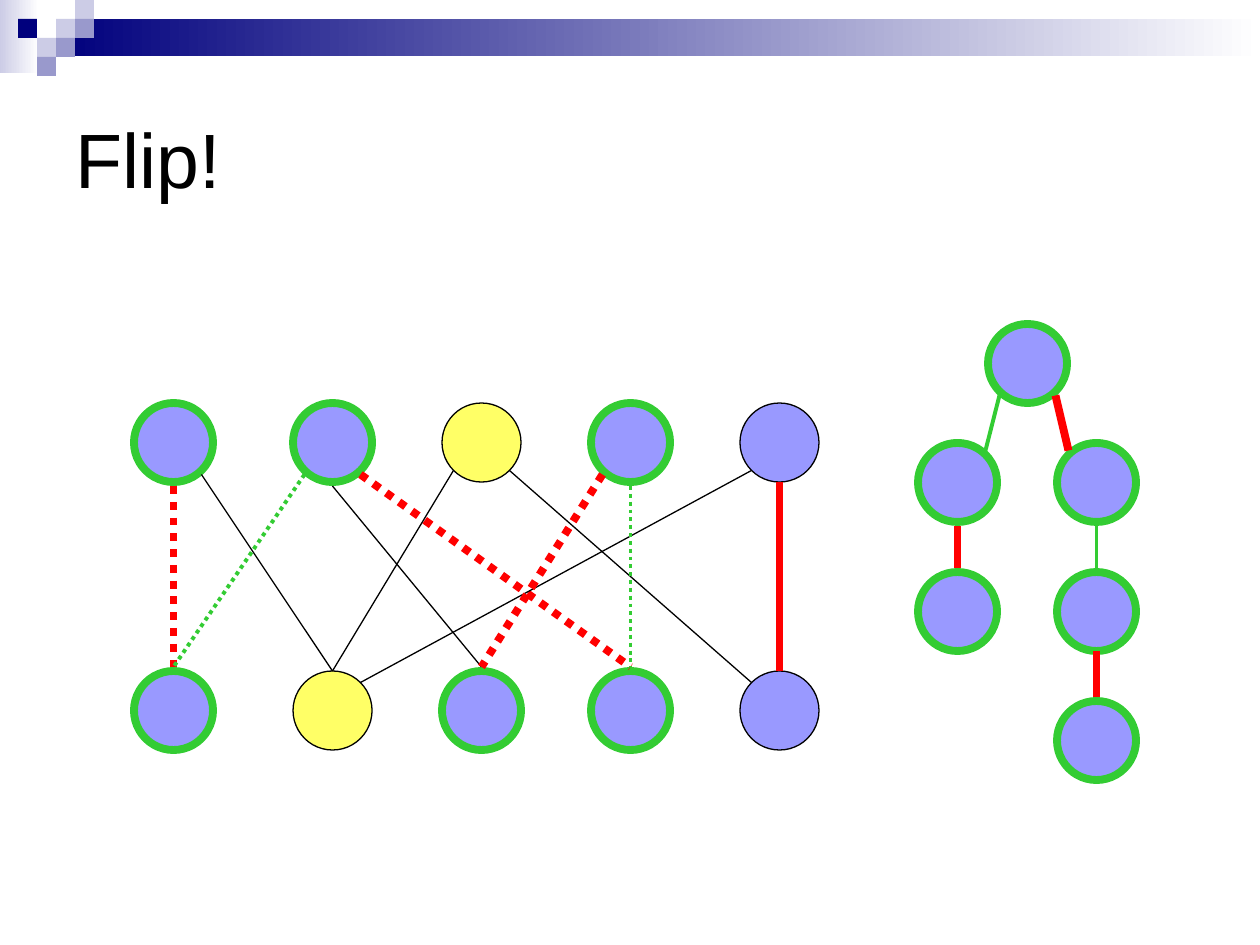
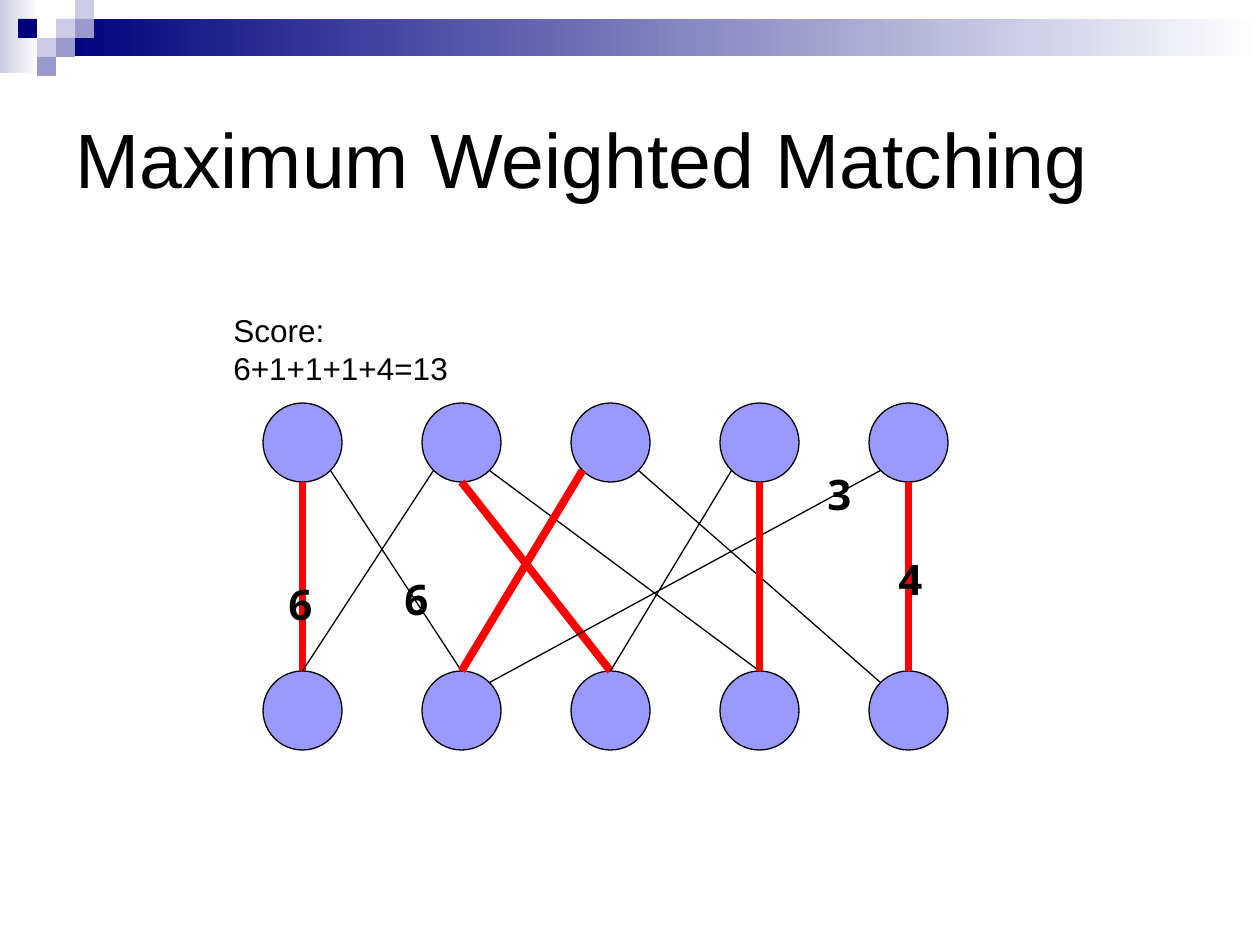
from pptx import Presentation
from pptx import util as u
from pptx.dml.color import RGBColor
from pptx.enum import dml, shapes, text
from pptx.oxml.ns import qn
from lxml import etree

SCALE = 914400 / 126  # EMU in one px
COLORS = {
    "navy": "00007D", "lavender": "CCCCE6", "slate": "9999CC", "white": "FFFFFF",
    "black": "000000", "violet": "9999FF", "yellow": "FFFF66",
    "green": "33CC33", "red": "FF0000",
}

# Node kinds: fill, outline, outline width in points
NODES = {
    "free": ("violet", "black", 0.75),
    "marked": ("yellow", "black", 0.75),
    "ringed": ("violet", "green", 4.5),
}
# Edge kinds: colour, width in points, dotted
EDGES = {
    "plain": ("black", 0.75, False),
    "matched": ("red", 4.5, False),
    "dropped": ("red", 4.5, True),
    "tree": ("green", 2.25, False),
    "added": ("green", 2.25, True),
}
DIAMETER, RADIUS, DIAGONAL, RING = 79, 39.5, 28, 4
# Anchor points on a node: offset from its centre, whether it clears the ring
SIDES = {
    "n": (0, -RADIUS, True), "s": (0, RADIUS, True), "rim": (0, RADIUS, False),
    "nw": (-DIAGONAL, -DIAGONAL, True), "ne": (DIAGONAL, -DIAGONAL, True),
    "sw": (-DIAGONAL, DIAGONAL, True), "se": (DIAGONAL, DIAGONAL, True),
}
COLUMNS, ROW_GAP = (0, 159, 308, 457, 606), 268


def px(*lengths):
    return [u.Emu(round(length * SCALE)) for length in lengths]


def rgb(name):
    return RGBColor.from_string(COLORS[name])


def add_filled(slide, kind, box, color):
    part = slide.shapes.add_shape(kind, *px(*box))
    part.shadow.inherit = False
    part.fill.solid()
    part.fill.fore_color.rgb = rgb(color)
    part.line.fill.background()
    return part


def add_text(slide, box, words, size, font="Arial", bold=False):
    label = slide.shapes.add_textbox(*px(*box))
    frame = label.text_frame
    frame.word_wrap = False
    paragraph = frame.paragraphs[0]
    paragraph.text = words
    paragraph.font.size = u.Pt(size)
    paragraph.font.name = font
    paragraph.font.bold = bold
    paragraph.font.color.rgb = rgb("black")
    return frame


def add_header(slide, title):
    rectangle = shapes.MSO_SHAPE.RECTANGLE
    # Fading bands
    for box, color in (((0, 0, 39, 73), "lavender"), ((57, 19, 1203, 37), "navy")):
        fill = add_filled(slide, rectangle, box, color).fill
        fill.gradient()
        fill.gradient_angle = 180
        for stop, shade in zip(fill.gradient_stops, ("white", color)):
            stop.color.rgb = rgb(shade)
    # Mosaic of squares, by column and row
    tile = 19
    mosaic = {(3, 1): "lavender", (4, 0): "lavender", (4, 1): "slate",
              (2, 2): "lavender", (1, 1): "navy", (3, 2): "slate", (2, 3): "slate"}
    for (column, row), color in mosaic.items():
        add_filled(slide, rectangle, (column * tile - 1, row * tile, tile, tile), color)
    # Title
    frame = add_text(slide, (63, 63, 1134, 189), title, 44)
    frame.word_wrap = True
    frame.vertical_anchor = text.MSO_ANCHOR.MIDDLE


def add_graph(slide, left, top, nodes, edges):
    """Nodes: name -> (x, y, kind). Edges: 'node.side node.side kind'."""
    for x, y, kind in nodes.values():
        fill, outline, width = NODES[kind]
        box = (left + x, top + y, DIAMETER, DIAMETER)
        circle = add_filled(slide, shapes.MSO_SHAPE.OVAL, box, fill)
        circle.line.color.rgb = rgb(outline)
        circle.line.width = u.Pt(width)

    def anchor(spot):
        name, side = spot.split(".")
        x, y, kind = nodes[name]
        dx, dy, clears = SIDES[side]
        if clears and kind == "ringed":
            dy += RING if dy > 0 else -RING
        return left + x + RADIUS + dx, top + y + RADIUS + dy

    for edge in edges:
        start, end, kind = edge.split()
        color, width, dotted = EDGES[kind]
        link = slide.shapes.add_connector(
            shapes.MSO_CONNECTOR.STRAIGHT, *px(*anchor(start), *anchor(end)))
        link.line.color.rgb = rgb(color)
        link.line.width = u.Pt(width)
        if dotted:
            link.line.dash_style = dml.MSO_LINE.ROUND_DOT
        etree.SubElement(link._element.spPr, qn("a:effectLst"))


def bipartite(upper, lower):
    return {f"{row}{i}": (x, y, kind)
            for row, y, kinds in (("a", 0, upper), ("b", ROW_GAP, lower))
            for i, (x, kind) in enumerate(zip(COLUMNS, kinds))}


def flip_slide(slide):
    add_header(slide, "Flip!")
    # Matching with the augmenting paths
    nodes = bipartite(("ringed", "ringed", "marked", "ringed", "free"),
                      ("ringed", "marked", "ringed", "ringed", "free"))
    add_graph(slide, 134, 403, nodes, (
        "a0.se b1.n plain", "a0.s b0.n dropped", "a1.se b3.n dropped",
        "a1.s b2.n plain", "a1.sw b0.n added", "b1.ne a4.sw plain",
        "a4.s b4.n matched", "a2.se b4.nw plain", "a3.sw b2.n dropped",
        "a3.s b3.n added", "a2.sw b1.n plain"))
    # Alternating tree
    spots = {"root": (70, 0), "left": (0, 119), "right": (139, 119),
             "leftleaf": (0, 248), "inner": (139, 248), "rightleaf": (139, 377)}
    tree = {name: (*spot, "ringed") for name, spot in spots.items()}
    add_graph(slide, 918, 324, tree, (
        "root.se right.nw matched", "root.sw left.ne tree",
        "left.s leftleaf.n matched", "right.rim inner.n tree",
        "inner.rim rightleaf.n matched"))


def weighted_slide(slide):
    add_header(slide, "Maximum Weighted Matching")
    left, top = 263, 403
    add_graph(slide, left, top, bipartite(["free"] * 5, ["free"] * 5), (
        "a0.se b1.n plain", "a0.s b0.n matched", "a1.se b3.n plain",
        "a1.s b2.n matched", "a1.sw b0.n plain", "b1.ne a4.sw plain",
        "a4.s b4.n matched", "a2.se b4.nw plain", "a3.sw b2.n plain",
        "a3.s b3.n matched", "a2.sw b1.n matched"))
    # Edge weights and score
    for weight, x, y in (("4", 623, 144), ("6", 13, 169), ("6", 129, 164), ("3", 552, 59)):
        add_text(slide, (left + x, top + y, 49, 63), weight, 24, "Open Sans", True)
    add_text(slide, (left - 42, top - 98, 339, 50), "Score: 6+1+1+1+4=13", 18)


def main():
    deck = Presentation()
    deck.slide_width, deck.slide_height = px(1260, 945)
    for build in (flip_slide, weighted_slide):
        build(deck.slides.add_slide(deck.slide_layouts[6]))
    deck.save("out.pptx")


if __name__ == "__main__":
    main()
